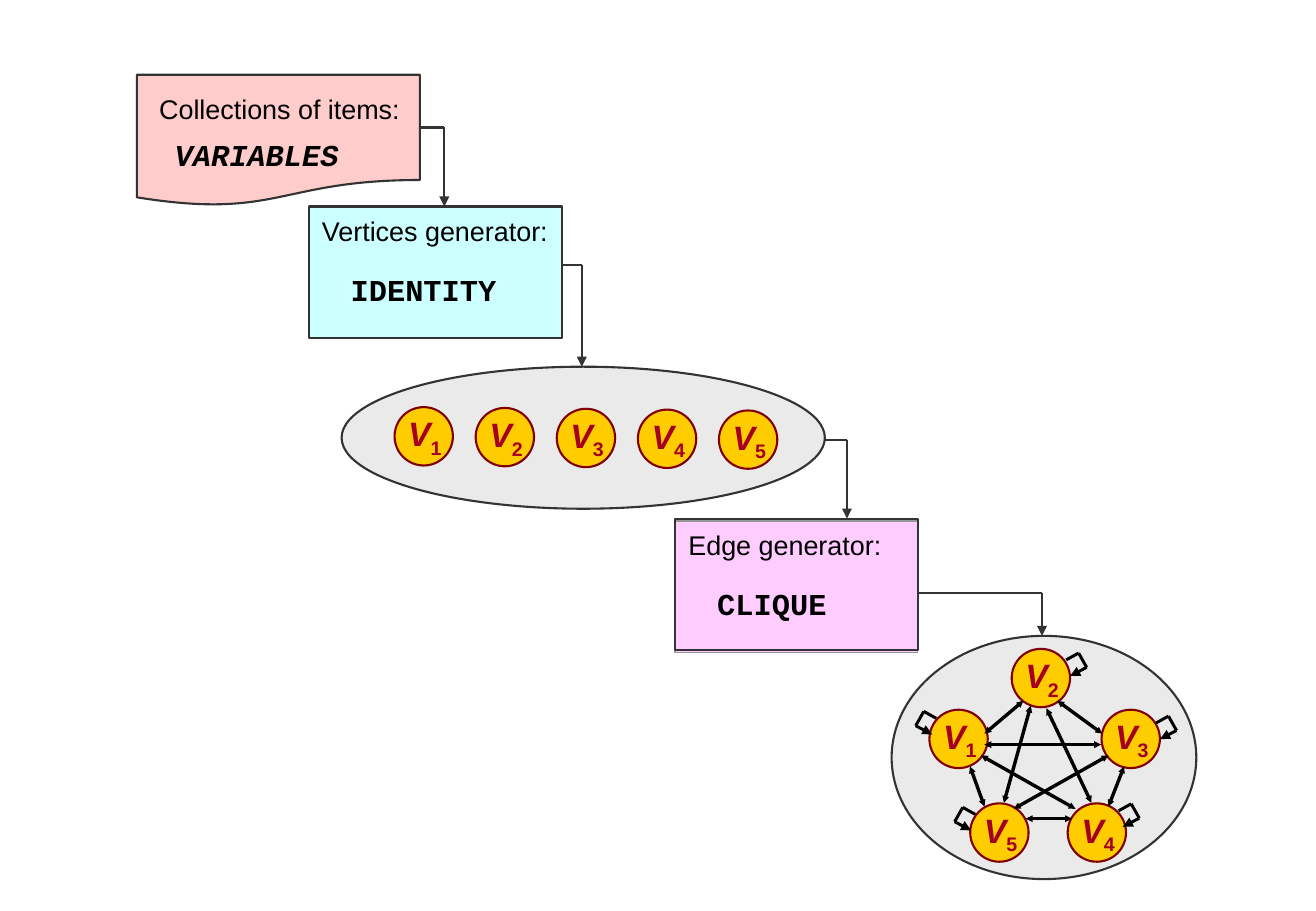
import pptx
import pptx.util
import pptx.dml.color
import pptx.enum.shapes
import pptx.enum.text
import pptx.oxml.ns
import lxml.etree

Pt = pptx.util.Pt
RGBColor = pptx.dml.color.RGBColor
MSO_SHAPE = pptx.enum.shapes.MSO_SHAPE

BLACK = RGBColor(0x00, 0x00, 0x00)
CHARCOAL = RGBColor(0x33, 0x33, 0x33)
MID_GREY = RGBColor(0x96, 0x96, 0x96)
PALE_GREY = RGBColor(0xEA, 0xEA, 0xEA)
ROSE = RGBColor(0xFF, 0xCC, 0xCC)
CYAN = RGBColor(0xCC, 0xFF, 0xFF)
PINK = RGBColor(0xFF, 0xCC, 0xFF)
GOLD = RGBColor(0xFF, 0xCC, 0x00)
MAROON = RGBColor(0x80, 0x00, 0x00)
CRIMSON = RGBColor(0xA5, 0x00, 0x21)

NODE_SIZE = 34.6

deck = pptx.Presentation()
deck.slide_width = Pt(780.48)
deck.slide_height = Pt(540)
slide = deck.slides.add_slide(deck.slide_layouts[6])


def add_line(start, end, color, width, arrowheads=(), head_size="med"):
    line = slide.shapes.add_connector(
        pptx.enum.shapes.MSO_CONNECTOR.STRAIGHT, *map(Pt, start + end))
    line.line.color.rgb = color
    line.line.width = Pt(width)
    properties = line._element.spPr
    outline = properties.find(pptx.oxml.ns.qn("a:ln"))
    for arrowhead in arrowheads:
        lxml.etree.SubElement(outline, pptx.oxml.ns.qn("a:" + arrowhead),
                              type="triangle", w=head_size, len=head_size)
    lxml.etree.SubElement(properties, pptx.oxml.ns.qn("a:effectLst"))


def add_node(number, left, top):
    circle = slide.shapes.add_shape(
        MSO_SHAPE.OVAL, Pt(left), Pt(top), Pt(NODE_SIZE), Pt(NODE_SIZE))
    circle.shadow.inherit = False
    circle.fill.solid()
    circle.fill.fore_color.rgb = GOLD
    circle.line.color.rgb = MAROON
    circle.line.width = Pt(1.25)
    vertex = slide.shapes.add_textbox(Pt(left + 1), Pt(top), Pt(35.3), Pt(NODE_SIZE))
    vertex.text_frame.word_wrap = True
    paragraph = vertex.text_frame.paragraphs[0]
    paragraph.font.name = "Arial"
    paragraph.font.size = Pt(20)
    paragraph.font.bold = True
    paragraph.font.color.rgb = CRIMSON
    letter = paragraph.add_run()
    letter.text = "V"
    letter.font.italic = True
    subscript = paragraph.add_run()
    subscript.text = str(number)
    subscript.font._element.set("baseline", "-25000")


flow_routes = [
    ((249.1, 75.6), (263.5, 122.4)),
    ((326.9, 157.3), (345.1, 217.4)),
    ((488.2, 260.6), (502.3, 307.4)),
    ((544.3, 351.4), (618, 376.9)),
]
for start, end in flow_routes:
    corner = (end[0], start[1])
    add_line(start, corner, CHARCOAL, 1.25)
    add_line(corner, end, CHARCOAL, 1.25, ["tailEnd"])

stages = [
    (MSO_SHAPE.FLOWCHART_DOCUMENT, (81.2, 44.3, 167.8, 77.8), ROSE, CHARCOAL, 1.25),
    (MSO_SHAPE.FLOWCHART_PROCESS, (183.2, 122.4, 150.2, 78.1), CYAN, CHARCOAL, 1.25),
    (MSO_SHAPE.RECTANGLE, (400.3, 308.9, 144, 78.1), PINK, MID_GREY, 0.75),
    (MSO_SHAPE.FLOWCHART_PROCESS, (400.3, 307.4, 144, 78.1), None, CHARCOAL, 1.25),
    (MSO_SHAPE.OVAL, (202.6, 217.4, 286.6, 84.2), PALE_GREY, CHARCOAL, 1.25),
    (MSO_SHAPE.OVAL, (528.8, 376.9, 180.7, 144.2), PALE_GREY, CHARCOAL, 1.25),
]
for preset, box, fill, outline, width in stages:
    stage = slide.shapes.add_shape(preset, *map(Pt, box))
    stage.shadow.inherit = False
    if fill is None:
        stage.fill.background()
    else:
        stage.fill.solid()
        stage.fill.fore_color.rgb = fill
    stage.line.color.rgb = outline
    stage.line.width = Pt(width)

captions = [
    ("Collections of items:", (87.3, 51.4, 157, 26.6), "Arial", 16, False, False),
    ("VARIABLES", (96.5, 77.3, 111.6, 28.8), "Courier New", 18, True, True),
    ("Vertices generator:", (183.9, 123.8, 149, 26.6), "Arial", 16, False, False),
    ("IDENTITY", (200.9, 157, 100.8, 28.8), "Courier New", 18, True, False),
    ("Edge generator:", (401.2, 309.9, 128.9, 26.6), "Arial", 16, False, False),
    ("CLIQUE", (418.3, 343.4, 79.2, 28.8), "Courier New", 18, True, False),
]
for wording, box, typeface, size, bold, italic in captions:
    caption = slide.shapes.add_textbox(*map(Pt, box))
    caption.text_frame.word_wrap = False
    caption.text_frame.auto_size = pptx.enum.text.MSO_AUTO_SIZE.SHAPE_TO_FIT_TEXT
    paragraph = caption.text_frame.paragraphs[0]
    paragraph.text = wording
    paragraph.font.name = typeface
    paragraph.font.size = Pt(size)
    paragraph.font.bold = bold
    paragraph.font.italic = italic
    paragraph.font.color.rgb = BLACK

for position in range(5):
    add_node(position + 1, 234 + 48.1 * position, 241.3 + 0.5 * position)

clique_nodes = [(551.2, 420.7), (600, 384.6), (653.3, 420.7), (633.2, 476.2), (575.4, 476.2)]
for number, (left, top) in enumerate(clique_nodes, 1):
    add_node(number, left, top)

clique_edges = [
    ((583.9, 434.9), (607, 415.4)),
    ((627.1, 415.4), (653.8, 434.9)),
    ((635.8, 485.3), (608.4, 485.3)),
    ((653, 441.4), (583.9, 441.4)),
    ((595.4, 475.9), (611.3, 418.3)),
    ((647.3, 475.9), (620.6, 419.8)),
    ((575.3, 454.3), (583.9, 478.1)),
    ((666.7, 454.3), (657.4, 478.1)),
    ((637.9, 479.5), (581.8, 447.8)),
    ((601.2, 479.5), (657.4, 447.8)),
]
for start, end in clique_edges:
    add_line(start, end, BLACK, 2, ["headEnd", "tailEnd"], "sm")

loop_steps = [(0, 0), (7.4, -4.1), (12.2, 4.4), (2.4, 9.5)]
self_loops = [
    (555.3, 425.8, -1),
    (632.3, 391.2, 1),
    (685.6, 428.6, 1),
    (663.5, 480.6, 1),
    (578.4, 482.7, -1),
]
for left, top, direction in self_loops:
    first, second, third, last = [(left + direction * x, top + y) for x, y in loop_steps]
    add_line(first, second, BLACK, 1.75)
    add_line(second, third, BLACK, 1.75)
    add_line(third, last, BLACK, 1.75, ["tailEnd"])

deck.save("out.pptx")
